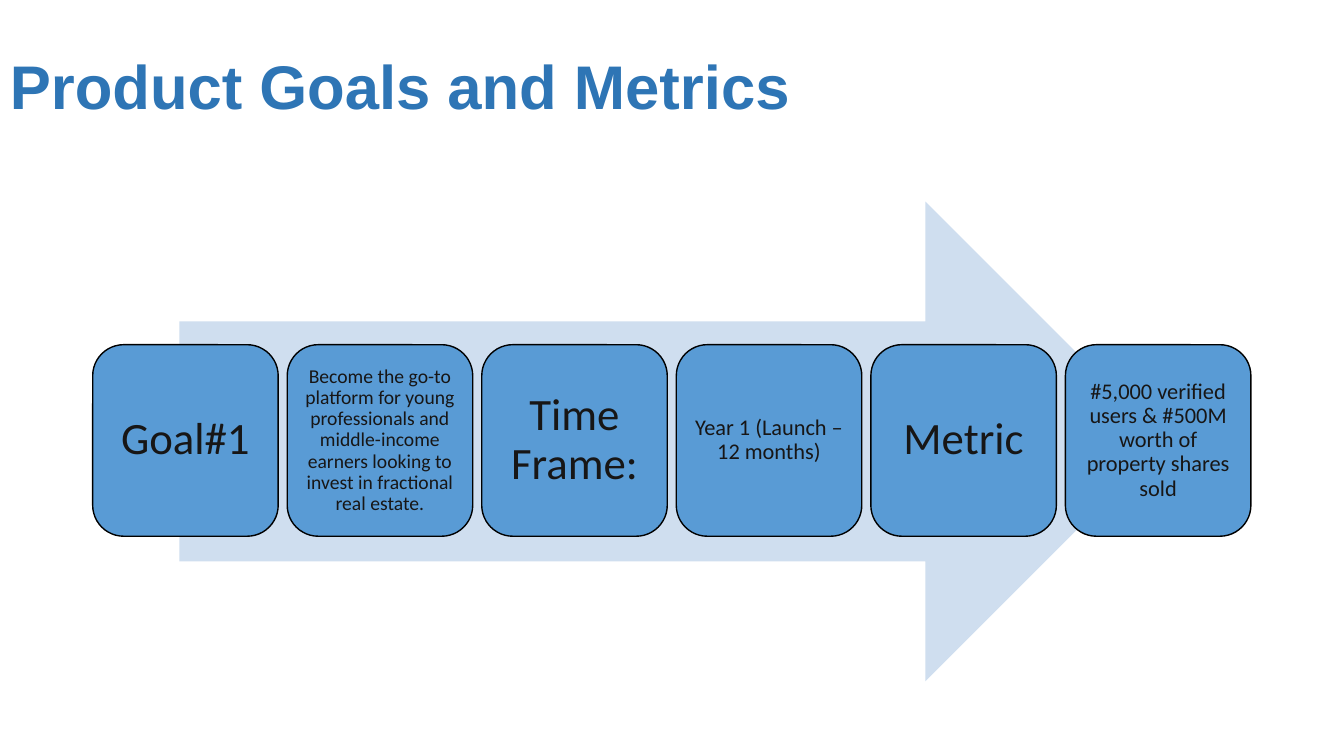
import pptx
import pptx.util
import pptx.dml.color
import pptx.enum.shapes
import pptx.enum.text

Pt = pptx.util.Pt
SHAPES = pptx.enum.shapes.MSO_SHAPE
ALIGN = pptx.enum.text.PP_ALIGN

COLOURS = {
    "title": "2E75B5",
    "arrow": "CFDEEF",
    "card": "599BD5",
    "outline": "000000",
    "card_text": "171616",
}

CARDS = [
    ("Goal#1", 32),
    ("Become the go-to platform for young professionals and middle-income "
     "earners looking to invest in fractional real estate.", 14),
    ("Time Frame:", 32),
    ("Year 1 (Launch – 12 months)", 16),
    ("Metric", 32),
    ("#5,000 verified users & #500M worth of property shares sold", 16),
]
CARD_LEFT, CARD_TOP = 66.24, 246.24
CARD_WIDTH, CARD_HEIGHT = 132.48, 136.8
CARD_PITCH = 138.96
INSET_PER_POINT = 0.3


class GoalSlide:
    def __init__(self, deck, colours):
        self.page = deck.slides.add_slide(deck.slide_layouts[6])
        self.colours = colours

    def colour(self, name):
        return pptx.dml.color.RGBColor.from_string(self.colours[name])

    def set_text(self, box, text, colour, align, margins, font):
        frame = box.text_frame
        frame_format = {
            "word_wrap": True,
            "vertical_anchor": pptx.enum.text.MSO_ANCHOR.MIDDLE,
            "margin_left": Pt(margins[0]),
            "margin_right": Pt(margins[0]),
            "margin_top": Pt(margins[1]),
            "margin_bottom": Pt(margins[1]),
        }
        for name, value in frame_format.items():
            setattr(frame, name, value)
        para = frame.paragraphs[0]
        para.alignment = align
        para.line_spacing = 0.9
        span = para.add_run()
        span.text = text
        for name, value in font.items():
            setattr(span.font, name, value)
        span.font.color.rgb = self.colour(colour)

    def title(self, text, left, top, width, height):
        box = self.page.shapes.add_textbox(Pt(left), Pt(top), Pt(width), Pt(height))
        font = {"name": "Arial", "size": Pt(44), "bold": True}
        self.set_text(box, text, "title", ALIGN.LEFT, (7.2, 3.6), font)

    def shape(self, kind, fill, left, top, width, height):
        shape = self.page.shapes.add_shape(kind, Pt(left), Pt(top), Pt(width), Pt(height))
        shape.shadow.inherit = False
        shape.fill.solid()
        shape.fill.fore_color.rgb = self.colour(fill)
        shape.line.fill.background()
        return shape

    def arrow(self, left, top, width, height):
        self.shape(SHAPES.RIGHT_ARROW, "arrow", left, top, width, height)

    def card(self, text, size, left, top, width, height):
        card = self.shape(SHAPES.ROUNDED_RECTANGLE, "card", left, top, width, height)
        card.adjustments[0] = 0.167
        card.line.color.rgb = self.colour("outline")
        card.line.width = Pt(1)
        inset = size * INSET_PER_POINT
        font = {"name": "Calibri", "size": Pt(size)}
        self.set_text(card, text, "card_text", ALIGN.CENTER, (inset, inset), font)


def main():
    deck = pptx.Presentation()
    deck.slide_width, deck.slide_height = Pt(960), Pt(540)
    slide = GoalSlide(deck, COLOURS)
    slide.title("Product Goals and Metrics", 0, 11.52, 828, 104.4)
    slide.arrow(128.16, 144, 704.16, 342.72)
    for index, (text, size) in enumerate(CARDS):
        left = CARD_LEFT + index * CARD_PITCH
        slide.card(text, size, left, CARD_TOP, CARD_WIDTH, CARD_HEIGHT)
    deck.save("out.pptx")


if __name__ == "__main__":
    main()
